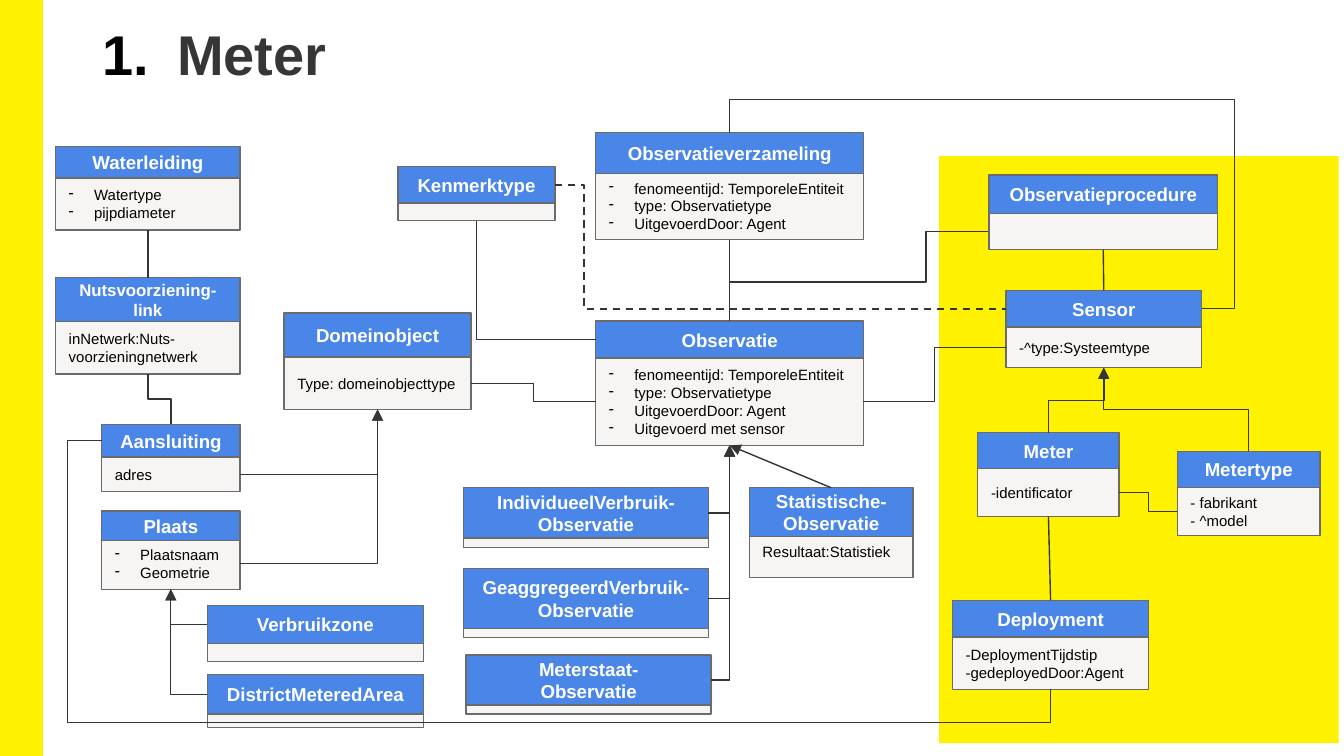
from lxml.etree import SubElement
from pptx import Presentation
from pptx.dml.color import RGBColor
from pptx.enum.dml import MSO_LINE
from pptx.enum.shapes import MSO_CONNECTOR, MSO_SHAPE
from pptx.enum.text import MSO_ANCHOR, PP_ALIGN
from pptx.oxml.ns import qn
from pptx.util import Cm, Pt

COLORS = {"yellow": "FFF200", "head": "4A86E8", "body": "F6F5F3", "edge": "6B6B6B",
          "wire": "363535", "title": "373636", "black": "000000", "white": "FFFFFF"}

# name: (left, top, width, head height, body top, body height, title lines, body lines)
BOXES = {
    "water": (1.05, 2.77, 3.49, 0.6, 3.36, 0.99, ["Waterleiding"], ["Watertype", "pijpdiameter"]),
    "link": (1.05, 5.25, 3.49, 0.83, 6.08, 0.99, ["Nutsvoorziening-link"],
             ["inNetwerk:Nuts-voorzieningnetwerk"]),
    "place": (1.92, 9.66, 2.62, 0.56, 10.17, 0.97, ["Plaats"], ["Plaatsnaam", "Geometrie"]),
    "joint": (1.92, 8.02, 2.62, 0.62, 8.64, 0.65, ["Aansluiting"], ["adres"]),
    "domain": (5.37, 5.92, 3.53, 0.83, 6.75, 0.99, ["Domeinobject"], ["Type: domeinobjecttype"]),
    "zone": (3.92, 11.45, 4.08, 0.71, 12.15, 0.35, ["Verbruikzone"], []),
    "area": (3.92, 12.75, 4.08, 0.75, 13.5, 0.25, ["DistrictMeteredArea"], []),
    "obs": (11.26, 6.07, 5.06, 0.7, 6.77, 1.65, ["Observatie"],
            ["fenomeentijd: TemporeleEntiteit", "type: Observatietype",
             "UitgevoerdDoor: Agent", "Uitgevoerd met sensor"]),
    "set": (11.26, 2.51, 5.06, 0.77, 3.26, 1.27, ["Observatieverzameling"],
            ["fenomeentijd: TemporeleEntiteit", "type: Observatietype", "UitgevoerdDoor: Agent"]),
    "single": (8.76, 9.22, 4.63, 0.95, 9.98, 0.37, ["IndividueelVerbruik-Observatie"], []),
    "group": (8.76, 10.75, 4.63, 1.13, 11.68, 0.37, ["GeaggregeerdVerbruik-Observatie"], []),
    "state": (8.81, 12.38, 4.63, 0.95, 13.13, 0.37, ["Meterstaat-", "Observatie"], []),
    "sensor": (19.01, 5.49, 3.7, 0.69, 6.18, 0.77, ["Sensor"], ["-^type:Systeemtype"]),
    "method": (18.69, 3.31, 4.32, 0.73, 4.03, 0.69, ["Observatieprocedure"], []),
    "meter": (18.48, 8.18, 2.67, 0.68, 8.86, 0.91, ["Meter"], ["-identificator"]),
    "type": (22.25, 8.53, 2.7, 0.69, 9.22, 0.9, ["Metertype"], ["- fabrikant", "- ^model"]),
    "deploy": (18, 11.35, 3.71, 0.69, 12.04, 0.99, ["Deployment"],
               ["-DeploymentTijdstip", "-gedeployedDoor:Agent"]),
    "trait": (7.52, 3.15, 2.97, 0.69, 3.83, 0.34, ["Kenmerktype"], []),
    "stat": (14.16, 9.22, 3.1, 0.92, 9.93, 0.99, ["Statistische-Observatie"],
             ["Resultaat:Statistiek"]),
}
LISTS = {"water", "place", "obs", "set"}
SMALL = {"link"}

STRAIGHT = [("water", "bottom", "link", "top", False), ("set", "bottom", "obs", "top", False),
            ("method", "bottom", "sensor", "top", False),
            ("deploy", "top", "meter", "bottom", False), ("stat", "top", "obs", "bottom", True)]

# start box, start side, end box, end side, turning coordinates
PLAIN = [("set", "top", "sensor", "head right", [1.88, 23.33]),
         ("meter", "body right", "type", "body left", [21.71]),
         ("joint", "top", "link", "bottom", [7.54]),
         ("deploy", "bottom", "joint", "head left", [13.66, 1.28]),
         ("obs", "head left", "trait", "bottom", []),
         ("obs", "body right", "sensor", "body left", [17.66]),
         ("domain", "body right", "obs", "body left", [10.08])]
ARROWS = [("place", "body right", "domain", "bottom", []),
          ("joint", "body right", "domain", "bottom", []),
          ("zone", "head left", "place", "bottom", []),
          ("area", "head left", "place", "bottom", []),
          ("single", "head right", "obs", "bottom", []),
          ("group", "head right", "obs", "bottom", []),
          ("state", "head right", "obs", "bottom", []),
          ("meter", "top", "sensor", "bottom", [7.57]),
          ("type", "top", "sensor", "bottom", [7.74])]


def color(name):
    """Return the named colour."""
    return RGBColor.from_string(COLORS[name])


def write(frame, lines, size, ink, bold=False, align=PP_ALIGN.LEFT, bullet=None, indent=0):
    """Fill a text frame, with bullets if a (tag, key, value) is given."""
    frame.word_wrap = True
    frame.vertical_anchor = MSO_ANCHOR.MIDDLE
    for i, line in enumerate(lines):
        para = frame.paragraphs[0] if i == 0 else frame.add_paragraph()
        para.text = line
        para.alignment = align
        if bullet:
            tag, key, value = bullet
            props = para._p.get_or_add_pPr()
            props.set("marL", str(Cm(indent)))
            props.set("indent", str(-Cm(indent)))
            tint = SubElement(props, qn("a:buClr"))
            SubElement(tint, qn("a:srgbClr")).set("val", COLORS["black"])
            SubElement(props, qn(tag)).set(key, value)
        font = para.font
        font.name, font.size, font.bold = "Arial", Pt(size), bold
        font.color.rgb = color(ink)


def rect(slide, left, top, width, height, fill, edge=None, weight=0.75):
    """Add a filled rectangle."""
    shape = slide.shapes.add_shape(MSO_SHAPE.RECTANGLE, Cm(left), Cm(top), Cm(width), Cm(height))
    shape.shadow.inherit = False
    shape.fill.solid()
    shape.fill.fore_color.rgb = color(fill)
    if edge:
        shape.line.color.rgb = color(edge)
        shape.line.width = Pt(weight)
    else:
        shape.line.fill.background()
    frame = shape.text_frame
    frame.margin_left = frame.margin_right = frame.margin_top = frame.margin_bottom = Cm(0.25)
    return shape


def entity(slide, name):
    """Add a class box: a body below a head."""
    left, top, width, head, low, body, title, lines = BOXES[name]
    base = rect(slide, left, low, width, body, "body", "edge")
    bullet = ("a:buChar", "char", "-") if name in LISTS else None
    if lines:
        write(base.text_frame, lines, 8, "black", bullet=bullet, indent=0.48)
    cap = rect(slide, left, top, width, head, "head", "edge")
    write(cap.text_frame, title, 9 if name in SMALL else 10, "white", True, PP_ALIGN.CENTER)


def spot(name, side):
    """Return the point on the given side of a box."""
    left, top, width, head, low, body = BOXES[name][:6]
    mid = left + width / 2
    return {"top": (mid, top), "seam": (mid, low), "bottom": (mid, low + body),
            "head left": (left, top + head / 2), "head right": (left + width, top + head / 2),
            "body left": (left, low + body / 2),
            "body right": (left + width, low + body / 2)}[side]


def style(line, arrow=False, dash=False):
    """Give a connector its stroke, arrowhead and no shadow."""
    line.line.color.rgb = color("wire")
    line.line.width = Pt(1 if dash else 0.75)
    if dash:
        line.line.dash_style = MSO_LINE.DASH
    props = line._element.spPr
    if arrow:
        SubElement(props.find(qn("a:ln")), qn("a:tailEnd")).set("type", "triangle")
    SubElement(props, qn("a:effectLst"))


def direct(slide, start, out, end, into, arrow):
    """Join two boxes with a straight line."""
    ends = [Cm(v) for v in spot(start, out) + spot(end, into)]
    style(slide.shapes.add_connector(MSO_CONNECTOR.STRAIGHT, *ends), arrow)


def bent(slide, start, out, end, into, stops, arrow=False, dash=False):
    """Join two boxes with an elbow line that turns at the stops."""
    (x1, y1), (x2, y2) = spot(start, out), spot(end, into)
    upright = out in ("top", "seam", "bottom")
    spans = [(x1, x2), (y1, y2)]
    if upright:
        spans.reverse()
        cx, cy, dx, dy = (x1 + x2) / 2, (y1 + y2) / 2, (x2 - x1) / 2, (y2 - y1) / 2
        x1, y1, x2, y2 = cx - dy, cy + dx, cx + dy, cy - dx
    line = slide.shapes.add_connector(MSO_CONNECTOR.ELBOW, Cm(x1), Cm(y1), Cm(x2), Cm(y2))
    props = line._element.spPr
    if upright:
        props.find(qn("a:xfrm")).set("rot", "5400000")
    geom = props.find(qn("a:prstGeom"))
    geom.set("prst", f"bentConnector{len(stops) + 2}")
    for i, (stop, (low, high)) in enumerate(zip(stops, spans), 1):
        guide = SubElement(geom.find(qn("a:avLst")), qn("a:gd"))
        guide.set("name", f"adj{i}")
        guide.set("fmla", f"val {round((stop - low) / (high - low) * 100000)}")
    style(line, arrow, dash)


def main():
    """Build the slide and save it."""
    deck = Presentation()
    deck.slide_width, deck.slide_height = Cm(25.4), Cm(14.29)
    slide = deck.slides.add_slide(deck.slide_layouts[6])
    rect(slide, 0, 0, 0.79, 14.29, "yellow", "yellow", 1)
    rect(slide, 17.75, 2.95, 7.55, 11.1, "yellow")
    bent(slide, "obs", "seam", "method", "body left", [5.33, 17.5])
    frame = slide.shapes.add_textbox(Cm(1.75), Cm(0.25), Cm(21.18), Cm(1.52)).text_frame
    frame.margin_left = frame.margin_right = Cm(0.18)
    frame.margin_top = frame.margin_bottom = Cm(0.1)
    write(frame, ["Meter"], 30, "title", True,
          bullet=("a:buAutoNum", "type", "arabicPeriod"), indent=1.42)
    for name in BOXES:
        entity(slide, name)
    for row in STRAIGHT:
        direct(slide, *row)
    for row in PLAIN:
        bent(slide, *row)
    for row in ARROWS:
        bent(slide, *row, arrow=True)
    bent(slide, "trait", "head right", "sensor", "head left", [11.04], dash=True)
    deck.save("out.pptx")


if __name__ == "__main__":
    main()
